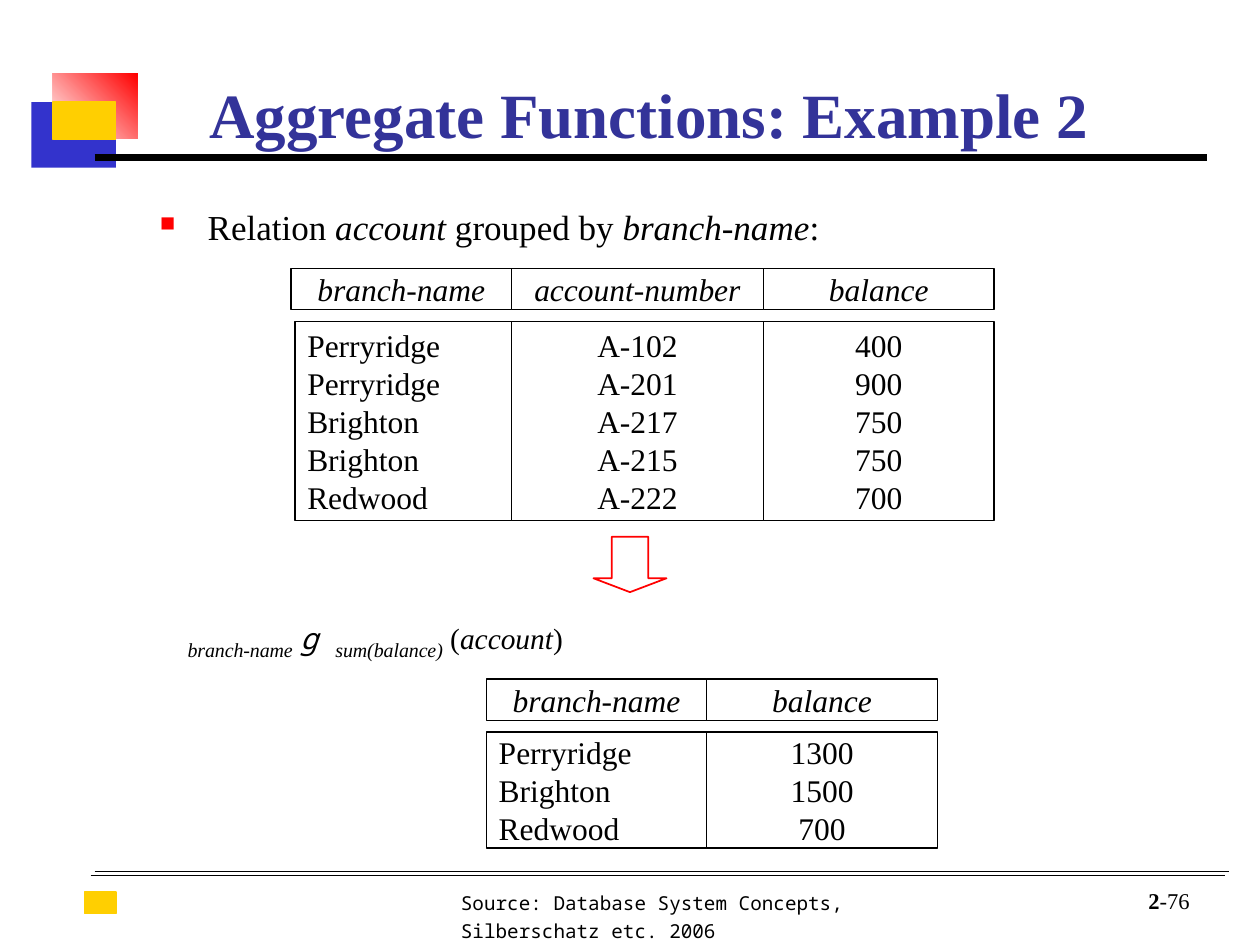
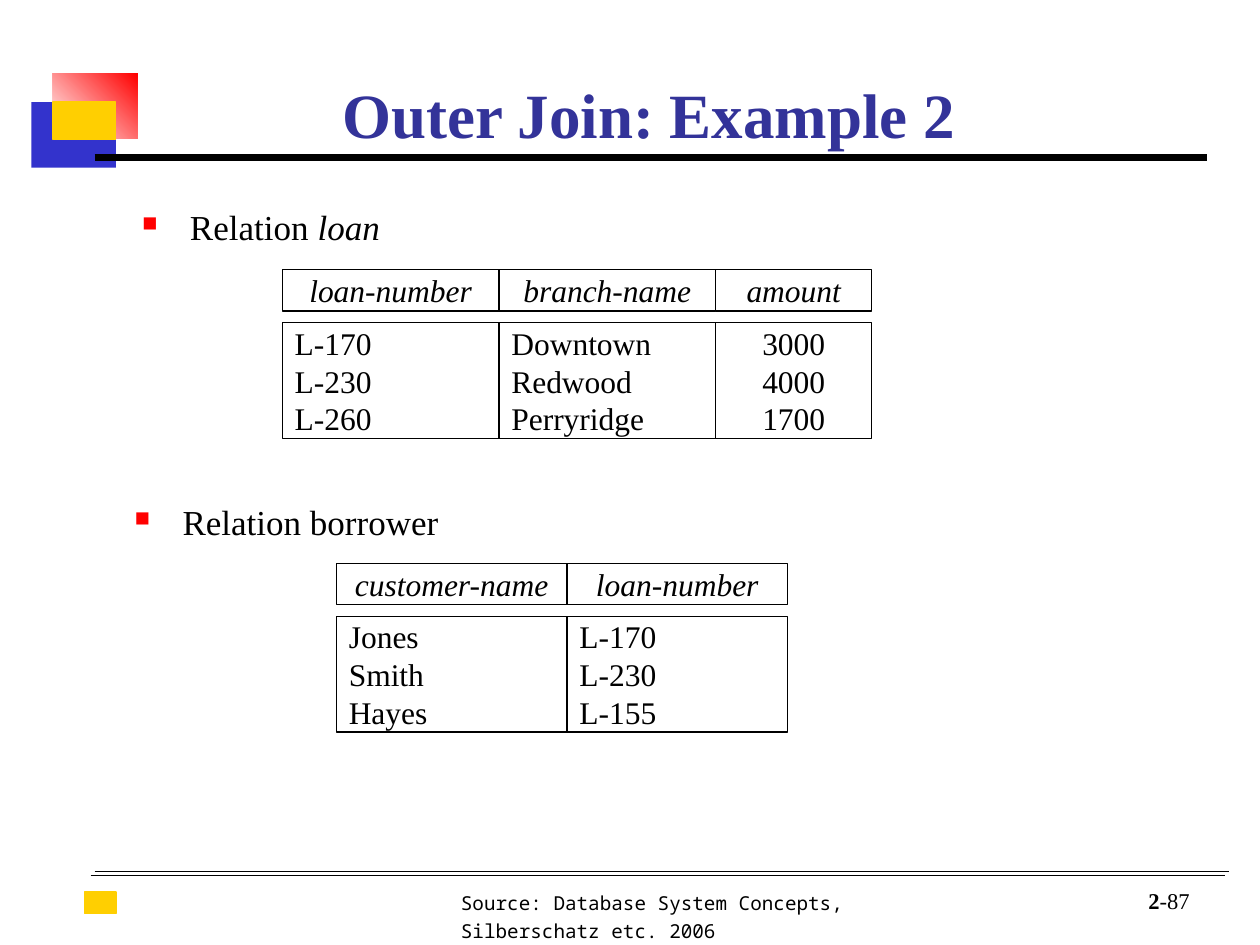
import pptx
import pptx.util
import pptx.dml.color
import pptx.enum.dml
import pptx.enum.shapes
import pptx.enum.text
import pptx.oxml.ns
from lxml import etree

Inches = pptx.util.Inches
Pt = pptx.util.Pt
KIND = pptx.enum.shapes.MSO_SHAPE
ALIGN = pptx.enum.text.PP_ALIGN
ANCHOR = pptx.enum.text.MSO_ANCHOR
qn = pptx.oxml.ns.qn

SERIF, MONO = "Times New Roman", "Noto Sans Mono"
BLACK, WHITE, RED = "000000", "FFFFFF", "FF0000"
BLUE, GOLD, NAVY = "3333CC", "FFCF01", "333399"
HEAD, STEP = 0.33, 0.42
LEFT, MID = ALIGN.LEFT, ALIGN.CENTER


def paint(color, code):
    color.rgb = pptx.dml.color.RGBColor.from_string(code)


def style(font, size, color=BLACK, name=SERIF):
    font.size = Pt(size)
    font.name = name
    paint(font.color, color)


def shape(slide, box, fill=None, line=None, width=0.75, kind=KIND.RECTANGLE):
    item = slide.shapes.add_shape(kind, *map(Inches, box))
    item.shadow.inherit = False
    if fill:
        item.fill.solid()
        paint(item.fill.fore_color, fill)
    else:
        item.fill.background()
    if line:
        paint(item.line.color, line)
        item.line.width = Pt(width)
    else:
        item.line.fill.background()
    return item


def rule(slide, x, y, length, width):
    line = slide.shapes.add_connector(
        pptx.enum.shapes.MSO_CONNECTOR.STRAIGHT,
        Inches(x), Inches(y), Inches(x + length), Inches(y))
    paint(line.line.color, BLACK)
    line.line.width = Pt(width)
    etree.SubElement(line._element.spPr, qn("a:effectLst"))


def label(slide, box, size, name=SERIF):
    frame = slide.shapes.add_textbox(*map(Inches, box)).text_frame
    frame.word_wrap = True
    para = frame.paragraphs[0]
    style(para.font, size, name=name)
    return frame, para


def mixed(para, text):
    for count, part in enumerate(text.split("*")):
        if part:
            run = para.add_run()
            run.text = part
            run.font.italic = count % 2 == 1


def bullet(slide, box, text):
    frame = slide.shapes.add_textbox(*map(Inches, box)).text_frame
    frame.word_wrap = True
    para = frame.paragraphs[0]
    props = para._p.get_or_add_pPr()
    props.set("marL", str(Inches(0.38)))
    props.set("indent", str(-Inches(0.38)))
    tint = etree.SubElement(props, qn("a:buClr"))
    etree.SubElement(tint, qn("a:srgbClr"), val=RED)
    etree.SubElement(props, qn("a:buSzPct"), val="60000")
    etree.SubElement(props, qn("a:buChar"), char="■")
    style(para.font, 20)
    mixed(para, text)


def cell(slide, box, lines, align, italic=False):
    frame = shape(slide, box, WHITE, BLACK).text_frame
    frame.word_wrap = True
    frame.vertical_anchor = ANCHOR.MIDDLE
    for count, line in enumerate(lines):
        para = frame.add_paragraph() if count else frame.paragraphs[0]
        para.text = line
        para.alignment = align
        style(para.font, 18)
        para.font.italic = italic


def relation(slide, x, y, height, columns, shift=0):
    for name, width, align, rows in columns:
        cell(slide, (x, y, width, HEAD), [name], MID, True)
        cell(slide, (x + shift, y + STEP, width, height), rows.split(), align)
        x += width
        shift = 0


def badge(slide, x, y):
    shape(slide, (x, y + 0.23, 0.67, 0.52), BLUE)
    fade = shape(slide, (x + 0.17, y, 0.67, 0.52), RED).fill
    fade.gradient()
    fade.gradient_angle = 45
    for stop, code in zip(fade.gradient_stops, (WHITE, RED)):
        paint(stop.color, code)
    for stop, spot in zip(fade.gradient_stops, (0, 1)):
        stop.position = spot
    shape(slide, (x + 0.17, y + 0.23, 0.5, 0.3), GOLD, GOLD)


def footer(slide, y, page):
    shape(slide, (0.67, y + 0.16, 0.25, 0.17), GOLD, GOLD)
    rule(slide, 0.75, y, 9, 0.5)
    rule(slide, 0.72, y + 0.03, 9, 0.5)
    _, para = label(slide, (3.56, y + 0.07, 4.35, 0.54), 11, MONO)
    para.text = "Source: Database System Concepts, Silberschatz etc. 2006"
    para.line_spacing = 1.2
    frame, para = label(slide, (8.71, y + 0.05, 0.83, 0.33), 12.9)
    frame.vertical_anchor = ANCHOR.BOTTOM
    para.alignment = ALIGN.RIGHT
    for text, bold in (("2", True), (f"-{page}", False)):
        run = para.add_run()
        run.text = text
        run.font.bold = bold


def start(deck, text, page):
    slide = deck.slides.add_slide(deck.slide_layouts[5])
    badge(slide, 0.25, 0.58)
    rule(slide, 0.75, 1.25, 8.83, 4.5)
    footer(slide, 6.92, page)
    title = slide.shapes.title
    title.left, title.top, title.width, title.height = map(
        Inches, (1.17, 0.5, 7.96, 0.75))
    frame = title.text_frame
    frame.text = text
    frame.auto_size = pptx.enum.text.MSO_AUTO_SIZE.NONE
    frame.vertical_anchor = ANCHOR.BOTTOM
    para = frame.paragraphs[0]
    para.alignment = MID
    style(para.font, 36, NAVY)
    para.font.bold = True
    return slide


def formula(slide, box):
    _, para = label(slide, box, 16.8)
    parts = (("branch-name", True, True), (" ", False, False),
             ("g ", True, False), ("sum(balance)", True, True),
             (" (", False, False), ("account", True, False),
             (")", False, False))
    for text, italic, sub in parts:
        run = para.add_run()
        run.text = text
        run.font.italic = italic
        if sub:
            run.font.size = Pt(19.6)
            run._r.get_or_add_rPr().set("baseline", "-25000")
        if text == "g ":
            run.font.name = MONO


def totals(deck):
    slide = start(deck, "Aggregate Functions: Example 2", 76)
    bullet(slide, (1.17, 1.58, 7.76, 0.46),
           "Relation *account* grouped by *branch-name*:")
    formula(slide, (1.39, 4.83, 7.69, 0.45))
    relation(slide, 2.31, 2.13, 1.58, (
        ("branch-name", 1.75, LEFT,
         "Perryridge Perryridge Brighton Brighton Redwood"),
        ("account-number", 2, MID, "A-102 A-201 A-217 A-215 A-222"),
        ("balance", 1.83, MID, "400 900 750 750 700")), 0.03)
    relation(slide, 3.86, 5.39, 0.92, (
        ("branch-name", 1.75, LEFT, "Perryridge Brighton Redwood"),
        ("balance", 1.83, MID, "1300 1500 700")))
    arrow = shape(slide, (4.71, 4.26, 0.58, 0.44), None, RED, 1,
                  KIND.DOWN_ARROW)
    arrow.adjustments[0], arrow.adjustments[1] = 0.5, 0.25


def joins(deck):
    slide = start(deck, "Outer Join: Example 2", 87)
    bullet(slide, (1.03, 1.58, 7.76, 0.55), "Relation *loan*")
    bullet(slide, (0.97, 3.92, 7.69, 0.53), "Relation borrower")
    relation(slide, 2.67, 4.47, 0.92, (
        ("customer-name", 1.83, LEFT, "Jones Smith Hayes"),
        ("loan-number", 1.75, LEFT, "L-170 L-230 L-155")))
    relation(slide, 2.24, 2.14, 0.92, (
        ("loan-number", 1.72, LEFT, "L-170 L-230 L-260"),
        ("branch-name", 1.72, LEFT, "Downtown Redwood Perryridge"),
        ("amount", 1.24, MID, "3000 4000 1700")))


def main():
    deck = pptx.Presentation()
    deck.slide_width, deck.slide_height = Inches(10), Inches(7.5)
    totals(deck)
    joins(deck)
    deck.save("out.pptx")


if __name__ == "__main__":
    main()
